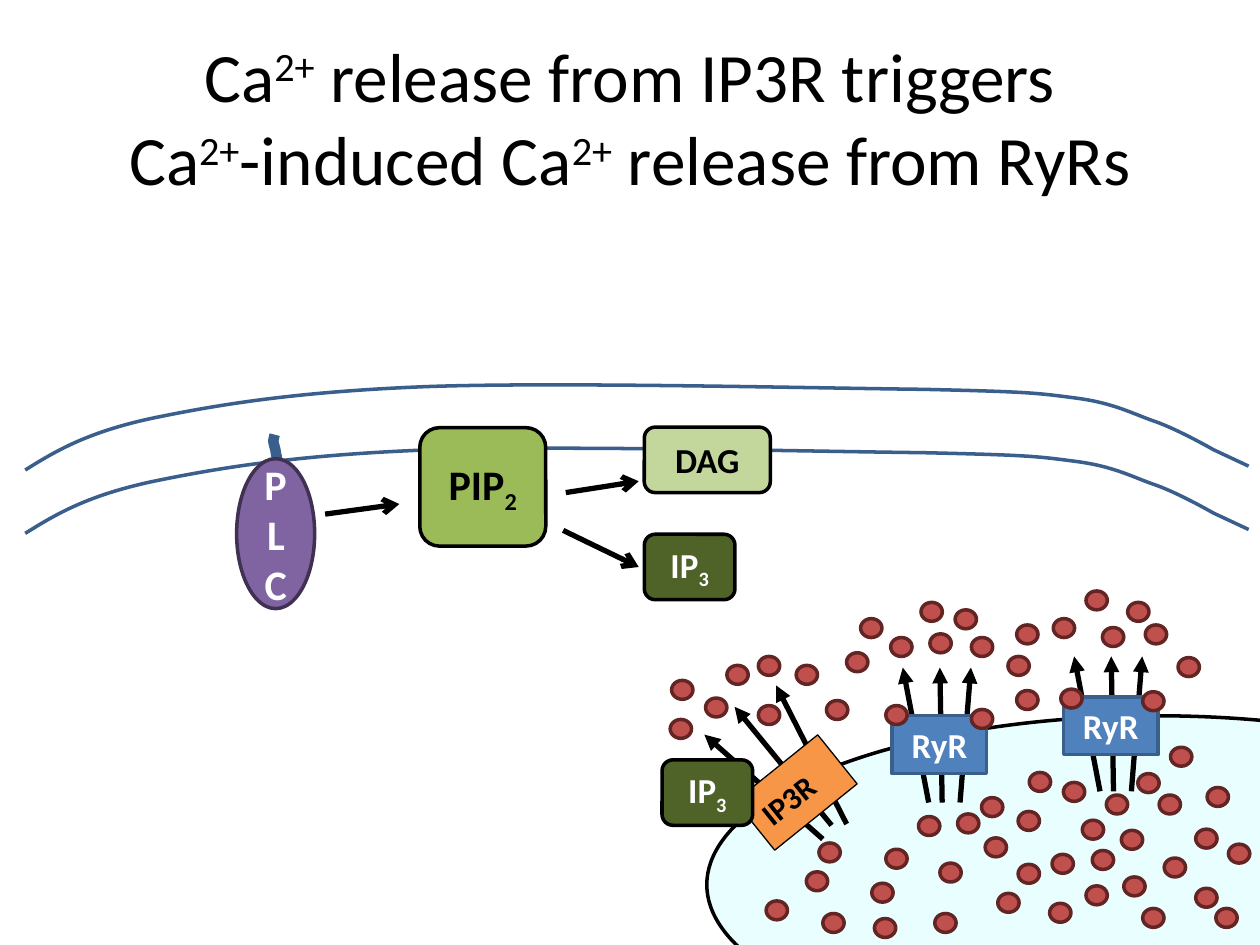
from dataclasses import dataclass

from lxml import etree
from pptx import Presentation
from pptx.dml.color import RGBColor
from pptx.enum import shapes, text
from pptx.oxml.ns import qn
from pptx.util import Pt


@dataclass(frozen=True)
class Theme:
    font: str = "Calibri"
    black: str = "000000"
    white: str = "FFFFFF"
    membrane: str = "3A5F8C"
    plc: str = "8064A2"
    plc_edge: str = "403152"
    pip2: str = "9BBB59"
    dag: str = "C3D69B"
    ip3: str = "4F6228"
    ip3r: str = "F79646"
    ryr: str = "4F81BD"
    store: str = "CCFFFF"
    ion: str = "C0504D"
    ion_edge: str = "632523"
    title_size: float = 39.6
    large: float = 24
    medium: float = 20
    small: float = 18


theme = Theme()
SUPER, SUB = 30000, -25000
SHAPE = shapes.MSO_SHAPE


def add_box(kind, place, fill, edge=theme.black, width=2):
    box = slide.shapes.add_shape(kind, *map(Pt, place))
    box.shadow.inherit = False
    box.fill.solid()
    box.fill.fore_color.rgb = RGBColor.from_string(fill)
    box.line.color.rgb = RGBColor.from_string(edge)
    box.line.width = Pt(width)
    return box


def write(box, parts, size, color, bold=True):
    """Fill the box with one centred paragraph of (text, baseline) parts."""
    frame = box.text_frame
    frame.word_wrap = True
    frame.vertical_anchor = text.MSO_ANCHOR.MIDDLE
    paragraph = frame.paragraphs[0]
    paragraph.alignment = text.PP_ALIGN.CENTER
    paragraph.font.name = theme.font
    paragraph.font.size = Pt(size)
    paragraph.font.bold = bold
    paragraph.font.color.rgb = RGBColor.from_string(color)
    for words, baseline in parts:
        if words == "\n":
            paragraph.add_line_break()
            continue
        run = paragraph.add_run()
        run.text = words
        if baseline:
            run._r.get_or_add_rPr().set("baseline", str(baseline))


deck = Presentation()
deck.slide_width, deck.slide_height = Pt(720), Pt(540)
slide = deck.slides.add_slide(deck.slide_layouts[6])

title = slide.shapes.add_textbox(Pt(36), Pt(21.6), Pt(648), Pt(90))
write(title, [("Ca", 0), ("2+", SUPER), (" release from IP3R triggers", 0), ("\n", 0),
              ("Ca", 0), ("2+", SUPER), ("-induced Ca", 0), ("2+", SUPER),
              (" release from RyRs", 0)], theme.title_size, theme.black, bold=False)

# Membrane leaflets and the PLC anchor: a start point, then Bézier triples;
# a single point left over at the end is joined by a straight line
anchor = [(158.4, 265), (158.4, 263.5), (158.4, 261.4), (157.7, 259.2),
          (157.7, 257), (156.2, 253.4), (156.2, 252),
          (156.2, 250.6), (157, 249.1), (157, 248.4)]
outer_leaflet = [(14.4, 268.6), (31.7, 257.8), (49.7, 247), (87.1, 239),
                 (125.3, 231.1), (169.2, 223.9), (242.6, 221),
                 (316.1, 218.2), (465.1, 221.8), (527, 222.5),
                 (589, 223.9), (592.6, 224.6), (614.9, 227.5),
                 (637.2, 230.4), (648, 236.9), (661, 241.2),
                 (674.6, 246.2), (693.4, 257), (693.4, 257),
                 (713.5, 266.4)]
inner_leaflet = [(x, y + 36.2) for x, y in outer_leaflet]
for nodes, width in ((anchor, 6), (outer_leaflet, 2), (inner_leaflet, 2)):
    builder = slide.shapes.build_freeform(*map(Pt, nodes[0]))
    builder.add_line_segments([tuple(map(Pt, node)) for node in nodes[1:]], close=False)
    curve = builder.convert_to_shape()
    segments = list(curve._element.iter(qn("a:lnTo")))
    for i in range(0, len(segments) - 2, 3):
        bezier = etree.Element(qn("a:cubicBezTo"))
        segments[i].addprevious(bezier)
        for segment in segments[i:i + 3]:
            bezier.append(segment[0])
            segment.getparent().remove(segment)
    curve.shadow.inherit = False
    curve.fill.background()
    curve.line.color.rgb = RGBColor.from_string(theme.membrane)
    curve.line.width = Pt(width)

store = add_box(SHAPE.OVAL, (403.9, 409, 514.1, 193), theme.store)
store_color = store.fill._xPr.find(qn("a:solidFill"))[0]
etree.SubElement(store_color, qn("a:alpha")).set("val", "42000")

# Signalling steps, then calcium flow through the IP3R and both RyRs
arrows = [(185.8, 293.8, 228.2, 288, "arrow"),
          (323.3, 281.5, 365, 275, "arrow"),
          (321.8, 303.1, 365, 324, "arrow"),
          (483.8, 470.9, 443.5, 391.7, "triangle"),
          (475.2, 471.6, 419.8, 403.9, "triangle"),
          (470.2, 479.5, 402.5, 419.8, "triangle")]
ryr_places = [(509.8, 409), (607.7, 398.2)]
for (left, _), base in zip(ryr_places, (458.6, 452.2)):
    for start, end in ((20.9, 6.1), (28.6, 27.3), (38.8, 45)):
        arrows.append((left + start, base, left + end, base - 77.1, "triangle"))
for *ends, head in arrows:
    arrow = slide.shapes.add_connector(shapes.MSO_CONNECTOR.STRAIGHT, *map(Pt, ends))
    arrow.line.color.rgb = RGBColor.from_string(theme.black)
    arrow.line.width = Pt(3)
    etree.SubElement(arrow.line._get_or_add_ln(), qn("a:tailEnd")).set("type", head)
    etree.SubElement(arrow._element.spPr, qn("a:effectLst"))

plc = add_box(SHAPE.OVAL, (135.2, 262.1, 44.6, 85.7), theme.plc, theme.plc_edge)
write(plc, [("PLC", 0)], theme.large, theme.white)
pip2 = add_box(SHAPE.ROUNDED_RECTANGLE, (239.9, 244.4, 72, 67.7), theme.pip2)
write(pip2, [("PIP", 0), ("2", SUB)], theme.large, theme.black)
dag = add_box(SHAPE.ROUNDED_RECTANGLE, (368.2, 244.1, 72, 37.4), theme.dag)
write(dag, [("DAG", 0)], theme.medium, theme.black)

ip3r = add_box(SHAPE.RECTANGLE, (437, 422.6, 36, 60.5), theme.ip3r, width=0.75)
ip3r.rotation = 231.2
write(ip3r, [("IP3R", 0)], theme.small, theme.black)
ip3r.text_frame.word_wrap = False
ip3r.text_frame._txBody.bodyPr.set("vert", "eaVert")

for left, top in ((368.2, 305.3), (378.3, 434.2)):
    ip3 = add_box(SHAPE.ROUNDED_RECTANGLE, (left, top, 51.8, 37.4), theme.ip3)
    write(ip3, [("IP", 0), ("3", SUB)], theme.medium, theme.white)
for place in ryr_places:
    ryr = add_box(SHAPE.RECTANGLE, (*place, 54, 33.1), theme.ryr, theme.membrane)
    write(ryr, [("RyR", 0)], theme.medium, theme.white)

ions_near_ip3r = [
    (415.4, 380.2), (403.2, 398.9), (383, 411.1), (433.4, 375.1),
    (455, 380.2), (472.3, 400.3), (433.4, 403.2), (383.8, 388.8)]
ions_in_store = [
    (460.8, 498.2), (468, 481.7), (498.2, 504.7), (506.2, 485.3), (524.9, 466.6),
    (537.1, 493.2), (581.8, 463.7), (601.2, 488.2), (581.8, 493.9), (570.2, 510.5),
    (547.2, 465.1), (607.7, 447.1), (560.9, 455.8), (588.2, 441.4), (618.5, 468.7),
    (624.2, 486), (650.2, 442.1), (599.8, 516.2), (620.6, 506.2), (668.9, 427),
    (689.8, 450), (702, 482.4), (683.3, 473.8), (662.4, 454.3), (642.2, 501.1),
    (653, 519.1), (694.8, 519.1), (499.7, 524.9), (470.2, 522), (437.8, 514.8),
    (534.2, 522), (683.3, 507.6), (632.2, 454.3), (640.8, 474.5), (665.3, 490.3),
    (563, 478.8)]
ions_near_ryrs = [
    (506.2, 403.2), (555.1, 405.4), (491.8, 353.5), (483.8, 373), (531.4, 362.2),
    (576, 375.1), (555.1, 364.3), (509, 364.3), (526.3, 344.2), (545.8, 348.5),
    (581, 394.6), (581, 357.1), (673.2, 375.8), (601.9, 353.5), (630, 358.6),
    (654.5, 357.1), (606.2, 393.8), (653, 395.3), (620.6, 337.7), (644.4, 344.2)]
for place in ions_near_ip3r + ions_in_store + ions_near_ryrs:
    add_box(SHAPE.FLOWCHART_CONNECTOR, (*place, 12.2, 10.8), theme.ion, theme.ion_edge)

deck.save("out.pptx")
